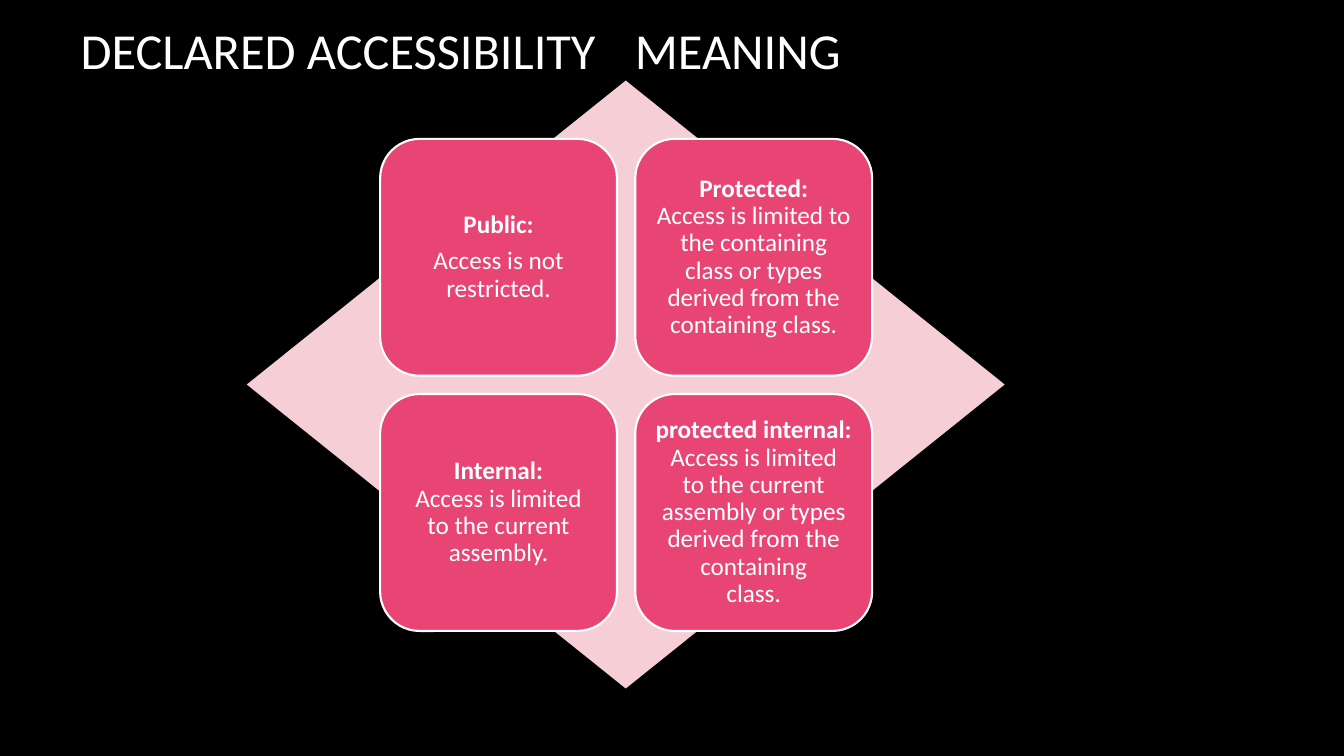
from lxml import etree
from pptx import Presentation
from pptx.dml.color import RGBColor
from pptx.enum.shapes import MSO_SHAPE
from pptx.enum.text import MSO_ANCHOR, MSO_AUTO_SIZE, PP_ALIGN
from pptx.oxml.ns import qn
from pptx.util import Cm, Pt

DIAMOND = MSO_SHAPE.DIAMOND
ROUNDED = MSO_SHAPE.ROUNDED_RECTANGLE
TOP, MIDDLE = MSO_ANCHOR.TOP, MSO_ANCHOR.MIDDLE
LEFT, CENTER = PP_ALIGN.LEFT, PP_ALIGN.CENTER
NO_AUTOFIT = MSO_AUTO_SIZE.NONE

TITLE_ONLY = 5
FONT = "Calibri"
BLACK, WHITE, PINK, ROSE = "000000", "FFFFFF", "F6CFD6", "E84574"

CARD_LEFT, CARD_TOP, CARD_SIZE, CARD_PITCH = 9.58, 3.5, 5.97, 6.43

LEVELS = [
    [("Public:", True), ("Access is not restricted.", False)],
    [("Protected:", True),
     ("Access is limited to the containing class or types "
      "derived from the containing class.", False)],
    [("Internal:", True),
     ("Access is limited\nto the current assembly.", False)],
    [("protected internal:", True),
     ("Access is limited\nto the current\nassembly or types\n"
      "derived from the\ncontaining\nclass.", False)],
]


def paint(fill, color):
    fill.solid()
    fill.fore_color.rgb = RGBColor.from_string(color)


def format_paragraph(paragraph, size, align):
    paragraph.alignment = align
    paragraph.line_spacing = 0.9
    paragraph.font.name = FONT
    paragraph.font.size = Pt(size)
    paragraph.font.color.rgb = RGBColor.from_string(WHITE)


def add_lines(paragraph, text, bold):
    for index, line in enumerate(text.split("\n")):
        if index:
            paragraph.add_line_break()
        run = paragraph.add_run()
        run.text = line
        run.font.bold = bold


def set_title(slide, text, tab_stop):
    title = slide.shapes.title
    title.left, title.top = Cm(1.9), Cm(0.03)
    title.width, title.height = Cm(28.14), Cm(4.04)
    frame = title.text_frame
    frame.auto_size = NO_AUTOFIT
    frame.word_wrap = True
    frame.vertical_anchor = TOP
    frame.margin_left = Cm(0.13)
    frame.margin_top = Cm(0.63)
    frame.text = text
    paragraph = frame.paragraphs[0]
    format_paragraph(paragraph, 36, LEFT)
    tabs = etree.Element(qn("a:tabLst"))
    etree.SubElement(tabs, qn("a:tab"), pos=str(tab_stop), algn="l")
    paragraph.font._element.addprevious(tabs)


def add_panel(slide, kind, left, top, width, height, color):
    panel = slide.shapes.add_shape(kind, Cm(left), Cm(top), Cm(width), Cm(height))
    panel.shadow.inherit = False
    paint(panel.fill, color)
    panel.line.fill.background()
    return panel


def add_card(slide, left, top, level, separate):
    card = add_panel(slide, ROUNDED, left, top, CARD_SIZE, CARD_SIZE, ROSE)
    paint(card.line.fill, WHITE)
    card.line.width = Pt(1.5)
    frame = card.text_frame
    frame.word_wrap = True
    frame.vertical_anchor = MIDDLE
    frame.margin_left = frame.margin_right = Cm(0.18)
    frame.margin_top = frame.margin_bottom = Cm(0.18)
    paragraph = frame.paragraphs[0]
    for index, (text, bold) in enumerate(level):
        if index and separate:
            paragraph = frame.add_paragraph()
        elif index:
            paragraph.add_line_break()
        format_paragraph(paragraph, 18, CENTER)
        paragraph.space_after = Pt(6.3)
        add_lines(paragraph, text, bold)


def main():
    deck = Presentation()
    deck.slide_width, deck.slide_height = Cm(33.87), Cm(19.05)
    slide = deck.slides.add_slide(deck.slide_layouts[TITLE_ONLY])
    paint(slide.background.fill, BLACK)
    set_title(slide, "DECLARED ACCESSIBILITY\tMEANING", Cm(13.97))
    add_panel(slide, DIAMOND, 6.22, 2.03, 19.1, 15.32, PINK)
    for index, level in enumerate(LEVELS):
        row, column = divmod(index, 2)
        add_card(slide, CARD_LEFT + column * CARD_PITCH,
                 CARD_TOP + row * CARD_PITCH, level, separate=index == 0)
    deck.save("out.pptx")


if __name__ == "__main__":
    main()
